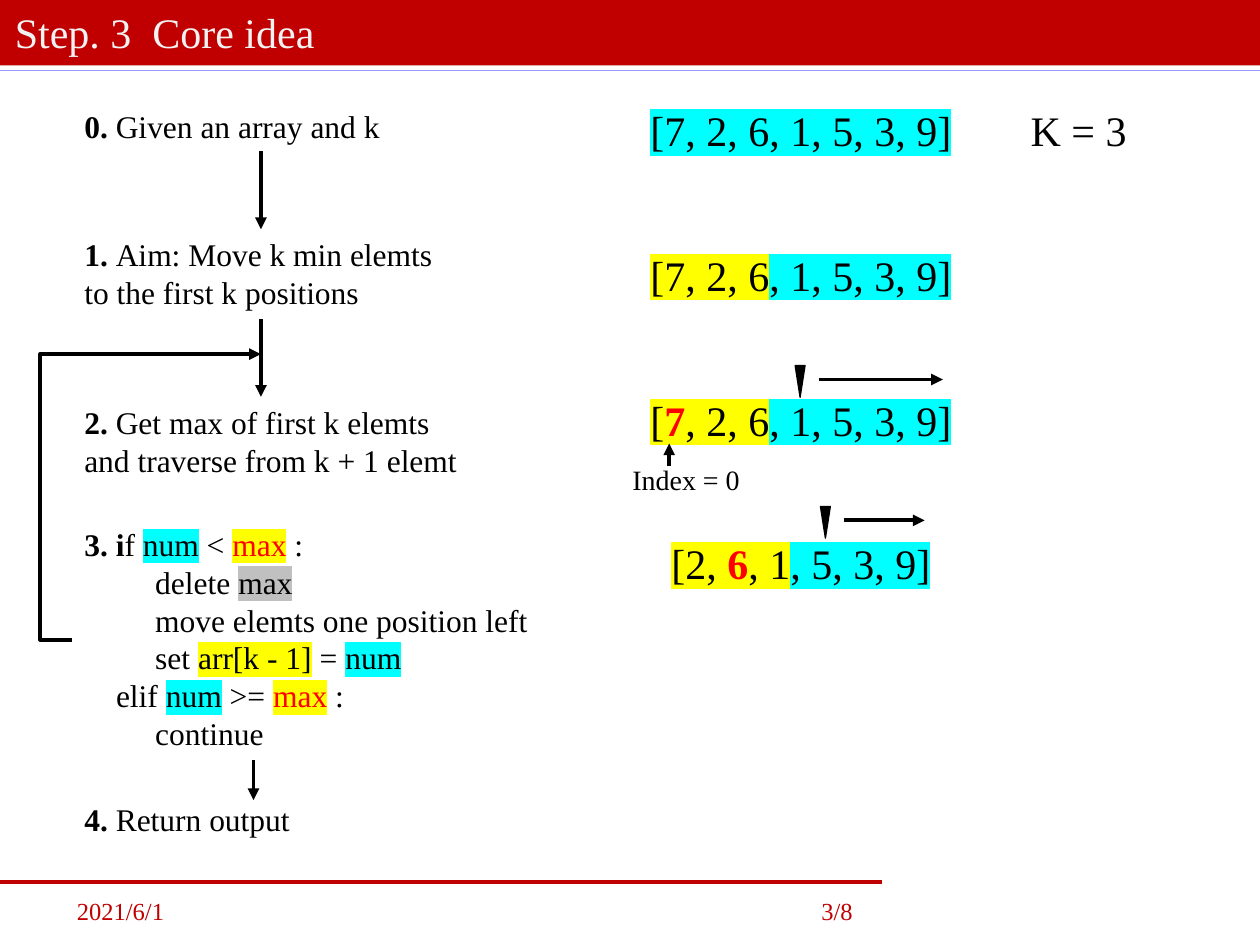
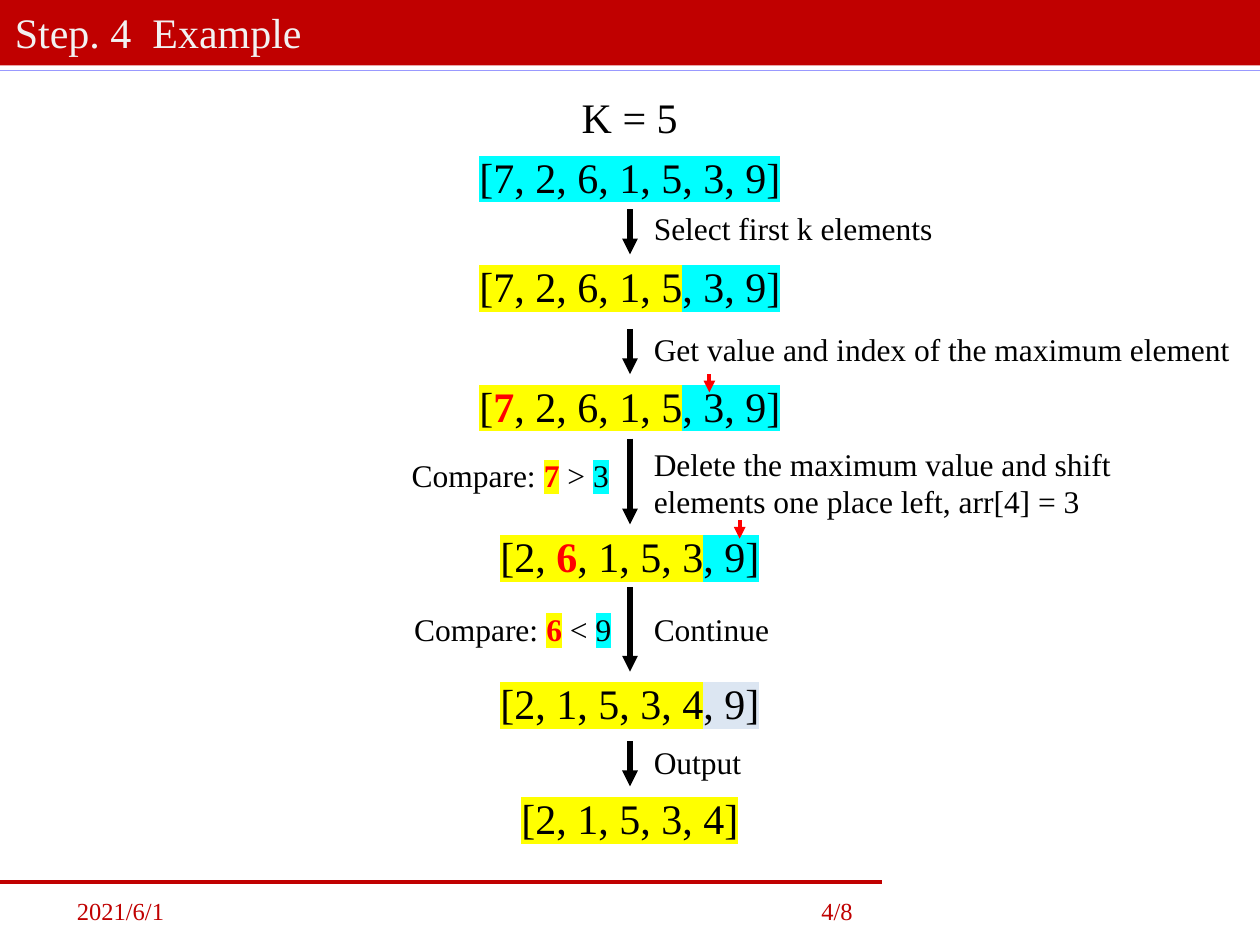
"""Build two slides that explain a k-smallest selection, as an idea and as an example."""
from dataclasses import dataclass
from typing import NamedTuple, Sequence

from lxml import etree
from pptx import Presentation
from pptx.dml.color import RGBColor
from pptx.enum.shapes import MSO_CONNECTOR, MSO_SHAPE
from pptx.enum.text import PP_ALIGN
from pptx.oxml.ns import qn
from pptx.util import Cm, Pt

STRAIGHT, ELBOW = MSO_CONNECTOR.STRAIGHT, MSO_CONNECTOR.ELBOW
RECTANGLE, MARKER = MSO_SHAPE.RECTANGLE, MSO_SHAPE.FLOWCHART_MERGE
LEFT, CENTER = PP_ALIGN.LEFT, PP_ALIGN.CENTER


@dataclass(frozen=True)
class Theme:
    """Colours, type sizes and line widths shared by the slides."""
    font: str = "Times New Roman"
    band: str = "C00000"
    rule: str = "9999FF"
    title: str = "F2F2F2"
    ink: str = "000000"
    alert: str = "FF0000"
    chosen: str = "FFFF00"
    rest: str = "00FFFF"
    done: str = "DCE6F2"
    removed: str = "C0C0C0"
    large: int = 24
    body: int = 18
    label: int = 16
    footer: int = 14
    thin: float = 2.25
    thick: float = 3


THEME = Theme()
SLIDE_WIDTH, SLIDE_HEIGHT = 25.4, 19.05
ARRAY_WIDTH, ARRAY_HEIGHT = 7.29, 1.27


class Span(NamedTuple):
    """A stretch of text with its own highlight, colour and weight."""
    text: str
    highlight: str = ""
    color: str = ""
    bold: bool = False


class Line(NamedTuple):
    """A paragraph made of spans, with a left indent in centimetres."""
    spans: Sequence[Span]
    indent: float = 0


class Box(NamedTuple):
    """A place on the slide in centimetres."""
    left: float
    top: float
    width: float
    height: float


class Stage(NamedTuple):
    """One state of the example array and the move that leads on from it."""
    top: float
    array: list[Span]
    arrow_top: float = 0
    note: str = ""
    note_top: float = 0


def add_text(slide, box: Box, lines: Sequence[Line], size: int = THEME.body,
             color: str = THEME.ink, align=LEFT) -> None:
    """Write lines of spans in a wrapping text box."""
    frame = slide.shapes.add_textbox(*map(Cm, box)).text_frame
    frame.word_wrap = True
    for number, line in enumerate(lines):
        paragraph = frame.add_paragraph() if number else frame.paragraphs[0]
        paragraph.alignment = align
        paragraph.font.name = THEME.font
        paragraph.font.size = Pt(size)
        paragraph.font.color.rgb = RGBColor.from_string(color)
        if line.indent:
            properties = paragraph._p.get_or_add_pPr()
            properties.set("marL", str(Cm(line.indent)))
            properties.set("indent", "0")
        for span in line.spans:
            run = paragraph.add_run()
            run.text = span.text
            if span.bold:
                run.font.bold = True
            if span.color:
                run.font.color.rgb = RGBColor.from_string(span.color)
            if span.highlight:
                mark = etree.SubElement(run._r.get_or_add_rPr(), qn("a:highlight"))
                etree.SubElement(mark, qn("a:srgbClr"), val=span.highlight)


def add_plain(slide, box: Box, text: str, size: int = THEME.body,
              color: str = THEME.ink, align=LEFT) -> None:
    """Write one unmarked line of text."""
    add_text(slide, box, [Line([Span(text)])], size, color, align)


def add_line(slide, start: tuple[float, float], end: tuple[float, float],
             color: str = THEME.ink, width: float = THEME.thin,
             arrow: bool = True, kind=STRAIGHT):
    """Draw a connector, with an arrowhead at its end unless told otherwise."""
    connector = slide.shapes.add_connector(kind, *map(Cm, (*start, *end)))
    connector.line.color.rgb = RGBColor.from_string(color)
    connector.line.width = Pt(width)
    if arrow:
        etree.SubElement(connector.line._get_or_add_ln(), qn("a:tailEnd"), type="triangle")
    etree.SubElement(connector._element.spPr, qn("a:effectLst"))
    return connector


def add_loop(slide, start: tuple[float, float], end: tuple[float, float], bend: float) -> None:
    """Draw an elbow arrow that turns at the given share of its width."""
    loop = add_line(slide, start, end, kind=ELBOW)
    geometry = loop._element.spPr.find(qn("a:prstGeom"))
    guides = geometry.find(qn("a:avLst"))
    if guides is None:
        guides = etree.SubElement(geometry, qn("a:avLst"))
    etree.SubElement(guides, qn("a:gd"), name="adj1", fmla=f"val {round(bend * 100000)}")


def add_solid(slide, kind, box: Box, color: str):
    """Draw a filled preset shape without an outline."""
    shape = slide.shapes.add_shape(kind, *map(Cm, box))
    shape.shadow.inherit = False
    shape.fill.solid()
    shape.fill.fore_color.rgb = RGBColor.from_string(color)
    shape.line.fill.background()
    return shape


def add_scan(slide, left: float, top: float, length: float) -> None:
    """Mark the current element and point in the direction of traversal."""
    marker = add_solid(slide, MARKER, Box(left, top, 0.2, 0.64), THEME.ink)
    marker.line.color.rgb = RGBColor.from_string(THEME.ink)
    marker.line.width = Pt(0.75)
    start, level = left + 0.47, top + 0.28
    add_line(slide, (start, level), (start + length, level))


def array_spans(values: Sequence[int], k: int = 0, maximum: int | None = None,
                rest: str = THEME.rest) -> list[Span]:
    """Mark the first k values, the maximum among them, and the others."""
    if not k:
        return [Span(str(list(values)), rest)]
    tail = "".join(f", {value}" for value in values[k:]) + "]"
    if maximum is None:
        spans = [Span("[" + ", ".join(map(str, values[:k])), THEME.chosen)]
    else:
        before = "[" + "".join(f"{value}, " for value in values[:maximum])
        after = "".join(f", {value}" for value in values[maximum + 1:k])
        spans = [Span(before, THEME.chosen),
                 Span(str(values[maximum]), THEME.chosen, THEME.alert, True),
                 Span(after, THEME.chosen)]
    return spans + [Span(tail, rest if k < len(values) else THEME.chosen)]


def add_array(slide, left: float, top: float, spans: list[Span]) -> None:
    """Write an array in large centred type."""
    add_text(slide, Box(left, top, ARRAY_WIDTH, ARRAY_HEIGHT), [Line(spans)],
             THEME.large, align=CENTER)


def add_k(slide, left: float, top: float, k: int) -> None:
    """Write the value of k."""
    add_plain(slide, Box(left, top, 2.79, ARRAY_HEIGHT), f"K = {k}", THEME.large, align=CENTER)


def add_page(deck, title: str, page: str):
    """Start a slide with its title band and footer."""
    slide = deck.slides.add_slide(deck.slide_layouts[6])
    add_solid(slide, RECTANGLE, Box(0, 0, SLIDE_WIDTH, 1.32), THEME.band)
    add_line(slide, (0, 1.42), (SLIDE_WIDTH, 1.42), THEME.rule, 1, arrow=False)
    add_line(slide, (0, 17.78), (17.78, 17.78), THEME.band, arrow=False)
    add_plain(slide, Box(1.3, 17.93, 3.78, 0.81), "2021/6/1", THEME.footer, THEME.band)
    add_plain(slide, Box(16.31, 17.93, 2.01, 0.81), page, THEME.footer, THEME.band)
    add_plain(slide, Box(0.05, 0, 11.05, 1.3), title, THEME.large, THEME.title)
    return slide


def build_idea(deck) -> None:
    """Draw the steps of the algorithm beside the array they act on."""
    slide = add_page(deck, "Step. 3  Core idea", "3/8")
    num = Span("num", THEME.rest)
    largest = Span("max", THEME.chosen, THEME.alert)
    steps = [
        (2.03, 7.62, "Given an array and k"),
        (4.62, 7.62, "Aim: Move k min elemts to the first k positions"),
        (8, 8.05, "Get max of first k elemts and traverse from k + 1 elemt"),
        (16, 7.62, "Return output"),
    ]
    for number, (top, width, text) in zip((0, 1, 2, 4), steps):
        add_text(slide, Box(1.45, top, width, 1.02),
                 [Line([Span(f"{number}. ", bold=True), Span(text)])])
    branch, action = 0.64, 1.43
    add_text(slide, Box(1.45, 10.46, 9.65, 4.88), [
        Line([Span("3. i", bold=True), Span("f "), num, Span(" < "), largest, Span(" :")]),
        Line([Span("delete "), Span("max", THEME.removed)], action),
        Line([Span("move elemts one position left")], action),
        Line([Span("set "), Span("arr[k - 1]", THEME.chosen), Span(" = "), num], action),
        Line([Span("elif "), num, Span(" >= "), largest, Span(" :")], branch),
        Line([Span("continue")], action),
    ])
    for x, top, bottom in ((5.26, 3.05, 4.62), (5.26, 6.43, 8), (5.11, 15.32, 16.13)):
        add_line(slide, (x, top), (x, bottom))
    add_loop(slide, (1.45, 12.9), (5.26, 7.14), -0.167)

    values, k = (7, 2, 6, 1, 5, 3, 9), 3
    add_k(slide, 20.35, 1.98, k)
    states = [
        (1.98, array_spans(values)),
        (4.9, array_spans(values, k)),
        (7.82, array_spans(values, k, 0)),
        (10.72, array_spans((2, 6, 1, 5, 3, 9), k, 1)),
    ]
    for top, spans in states:
        add_array(slide, 12.5, top, spans)
    add_scan(slide, 16.03, 7.37, 2.51)
    add_scan(slide, 16.54, 10.21, 1.63)
    add_plain(slide, Box(12.5, 9.19, 5, 0.94), "Index = 0", THEME.label)
    add_line(slide, (13.49, 9.4), (13.49, 8.94))


def build_example(deck) -> None:
    """Draw a worked example as a column of array states."""
    slide = add_page(deck, "Step. 4  Example", "4/8")
    values, k = (7, 2, 6, 1, 5, 3, 9), 5
    final = (2, 1, 5, 3, 4)
    stages = [
        Stage(2.92, array_spans(values), 4.22, "Select first k elements", 4.09),
        Stage(5.13, array_spans(values, k), 6.63,
              "Get value and index of the maximum element", 6.53),
        Stage(7.54, array_spans(values, k, 0), 8.84,
              "Delete the maximum value and shift elements one place left, arr[4] = 3", 8.84),
        Stage(10.57, array_spans((2, 6, 1, 5, 3, 9), k, 1), 11.84, "Continue", 12.17),
        Stage(13.54, array_spans((*final, 9), k, rest=THEME.done), 14.94, "Output", 14.86),
        Stage(15.85, array_spans(final, k)),
    ]
    center = SLIDE_WIDTH / 2
    add_k(slide, 11.3, 1.73, k)
    for stage in stages:
        add_array(slide, center - ARRAY_WIDTH / 2, stage.top, stage.array)
    for stage, following in zip(stages, stages[1:]):
        add_line(slide, (center, stage.arrow_top), (center, following.top), width=THEME.thick)
        width = 12.19 if stage is stages[1] else 10
        add_plain(slide, Box(12.93, stage.note_top, width, 1.02), stage.note)
    for left, top, first, sign, second in ((8.05, 9.07, "7", ">", "3"), (8.1, 12.17, "6", "<", "9")):
        add_text(slide, Box(left, top, 4.6, 1.02), [Line([
            Span("Compare: "), Span(first, THEME.chosen, THEME.alert, True),
            Span(f" {sign} "), Span(second, THEME.rest)])])
    for x, top in ((14.3, 7.54), (14.91, 10.49)):
        add_line(slide, (x, top), (x, top + 0.37), THEME.alert)


def main() -> None:
    """Build and save the deck."""
    deck = Presentation()
    deck.slide_width, deck.slide_height = Cm(SLIDE_WIDTH), Cm(SLIDE_HEIGHT)
    build_idea(deck)
    build_example(deck)
    deck.save("out.pptx")


main()
